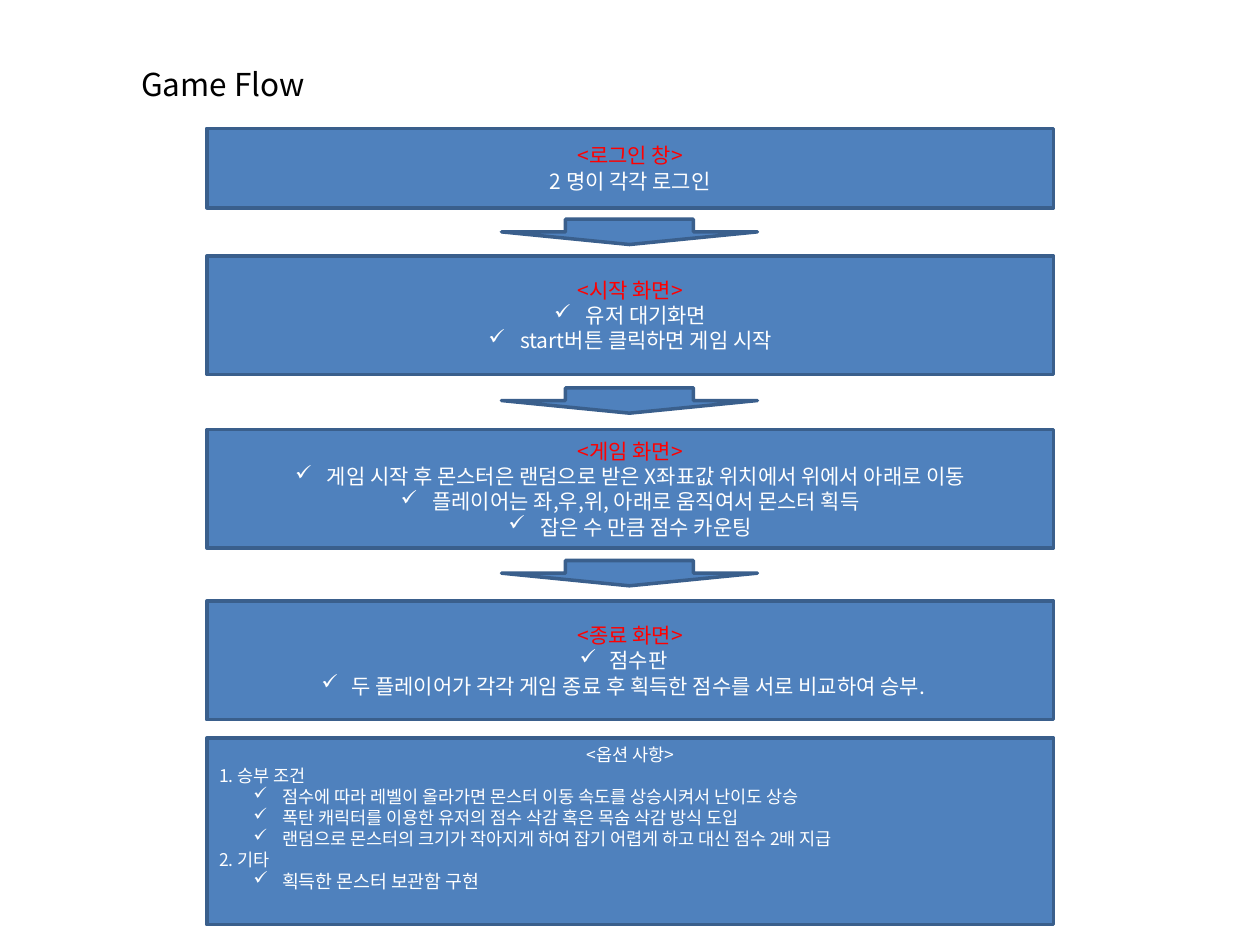
"""Build the game flow slide: stacked step boxes joined by down arrows."""
from dataclasses import dataclass

from lxml import etree
from pptx import Presentation
from pptx.dml.color import RGBColor
from pptx.enum.shapes import MSO_SHAPE
from pptx.enum.text import MSO_ANCHOR, MSO_AUTO_SIZE, PP_ALIGN
from pptx.oxml.ns import qn
from pptx.util import Cm, Pt

RECTANGLE, DOWN_ARROW = MSO_SHAPE.RECTANGLE, MSO_SHAPE.DOWN_ARROW
LEFT, CENTER = PP_ALIGN.LEFT, PP_ALIGN.CENTER
TOP, MIDDLE = MSO_ANCHOR.TOP, MSO_ANCHOR.MIDDLE
NO_AUTO_SIZE = MSO_AUTO_SIZE.NONE

BLACK = RGBColor(0x00, 0x00, 0x00)
WHITE = RGBColor(0xFF, 0xFF, 0xFF)
RED = RGBColor(0xFF, 0x00, 0x00)
BLUE = RGBColor(0x4F, 0x81, 0xBD)
DARK_BLUE = RGBColor(0x3A, 0x5F, 0x8C)

FONT = "Noto Sans CJK KR"
LINE_FACTOR = 1.2
BOX_LEFT, BOX_WIDTH = 4.17, 17.07
ARROW_LEFT, ARROW_WIDTH, ARROW_HEIGHT = 10.11, 5.16, 0.51
ARROW_TOPS = (4.42, 7.82, 11.3)


@dataclass(frozen=True)
class Line:
    """One paragraph of a box."""

    text: str
    size: float = 12
    color: RGBColor = WHITE
    align: PP_ALIGN = CENTER
    bullet: bool = False
    margin: float = 0.64
    hanging: float = 0.64
    level: int = 0


@dataclass(frozen=True)
class Box:
    """One step of the flow."""

    top: float
    height: float
    lines: tuple[Line, ...]
    anchor: MSO_ANCHOR = MIDDLE


def heading(text: str) -> Line:
    """Return a red step heading."""
    return Line(text, color=RED)


def check(text: str, margin: float = 0.64, hanging: float = 0.64) -> Line:
    """Return a centred check-mark line."""
    return Line(text, bullet=True, margin=margin, hanging=hanging)


def option(text: str, size: float = 10) -> Line:
    """Return an indented check-mark line of the options box."""
    return Line(text, size, align=LEFT, bullet=True, margin=1.27, hanging=0.58, level=1)


BOXES = (
    Box(2.59, 1.6, (heading("<로그인 창>"), Line("2 명이 각각 로그인"))),
    Box(5.16, 2.39, (
        heading("<시작 화면>"),
        check("유저 대기화면"),
        check("start버튼 클릭하면 게임 시작"),
    )),
    Box(8.66, 2.39, (
        heading("<게임 화면>"),
        check("게임 시작 후 몬스터은 랜덤으로 받은 X좌표값 위치에서 위에서 아래로 이동"),
        check("플레이어는 좌,우,위, 아래로 움직여서 몬스터 획득"),
        check("잡은 수 만큼 점수 카운팅"),
    )),
    Box(12.12, 2.39, (
        heading("<종료 화면>"),
        check("점수판", 0.33, 0.6),
        check("두 플레이어가 각각 게임 종료 후 획득한 점수를 서로 비교하여 승부.", 0.33, 0.6),
    )),
    Box(14.88, 3.76, (
        Line("<옵션 사항>", 10),
        Line("1. 승부 조건", 10, align=LEFT),
        option("점수에 따라 레벨이 올라가면 몬스터 이동 속도를 상승시켜서 난이도 상승"),
        option("폭탄 캐릭터를 이용한 유저의 점수 삭감 혹은 목숨 삭감 방식 도입"),
        option("랜덤으로 몬스터의 크기가 작아지게 하여 잡기 어렵게 하고 대신 점수 2배 지급"),
        Line("2. 기타", 10, align=LEFT),
        option("획득한 몬스터 보관함 구현", 10.5),
    ), TOP),
)


def write_line(paragraph, text: str, *, size: float, color: RGBColor, align: PP_ALIGN) -> None:
    """Write formatted text into a paragraph."""
    paragraph.alignment = align
    paragraph.line_spacing = Pt(size * LINE_FACTOR)
    paragraph.space_before = paragraph.space_after = Pt(0)
    run = paragraph.add_run()
    run.text = text
    run.font.size = Pt(size)
    run.font.name = FONT
    run.font.color.rgb = color
    east_asian = etree.SubElement(run.font._element, qn("a:ea"))
    east_asian.set("typeface", FONT)


def add_bullet(paragraph, margin: float, hanging: float) -> None:
    """Give a paragraph a hanging check mark."""
    properties = paragraph._p.get_or_add_pPr()
    properties.set("marL", str(Cm(margin)))
    properties.set("indent", str(-Cm(hanging)))
    etree.SubElement(properties, qn("a:buChar")).set("char", "✓")


def add_blue_shape(slide, kind: MSO_SHAPE, left: float, top: float, width: float, height: float):
    """Add a blue outlined shape measured in centimetres."""
    shape = slide.shapes.add_shape(kind, Cm(left), Cm(top), Cm(width), Cm(height))
    shape.shadow.inherit = False
    shape.fill.solid()
    shape.fill.fore_color.rgb = BLUE
    shape.line.color.rgb = DARK_BLUE
    shape.line.width = Pt(2)
    return shape


def add_box(slide, box: Box) -> None:
    """Add a step box with its lines."""
    shape = add_blue_shape(slide, RECTANGLE, BOX_LEFT, box.top, BOX_WIDTH, box.height)
    frame = shape.text_frame
    frame.word_wrap = True
    frame.vertical_anchor = box.anchor
    for index, line in enumerate(box.lines):
        paragraph = frame.add_paragraph() if index else frame.paragraphs[0]
        paragraph.level = line.level
        write_line(paragraph, line.text, size=line.size, color=line.color, align=line.align)
        if line.bullet:
            add_bullet(paragraph, line.margin, line.hanging)


def add_title(slide, text: str) -> None:
    """Place and format the title placeholder."""
    title = slide.shapes.title
    title.left, title.top, title.width, title.height = Cm(2.59), Cm(1.19), Cm(14.88), Cm(1.02)
    frame = title.text_frame
    frame.auto_size = NO_AUTO_SIZE
    frame.word_wrap = True
    frame.vertical_anchor = TOP
    write_line(frame.paragraphs[0], text, size=18, color=BLACK, align=LEFT)


def main() -> None:
    """Build and save the presentation."""
    presentation = Presentation()
    presentation.slide_width, presentation.slide_height = Cm(25.4), Cm(19.05)
    slide = presentation.slides.add_slide(presentation.slide_layouts[5])
    add_title(slide, "Game Flow")
    for box in BOXES:
        add_box(slide, box)
    for top in ARROW_TOPS:
        add_blue_shape(slide, DOWN_ARROW, ARROW_LEFT, top, ARROW_WIDTH, ARROW_HEIGHT)
    presentation.save("out.pptx")


main()
